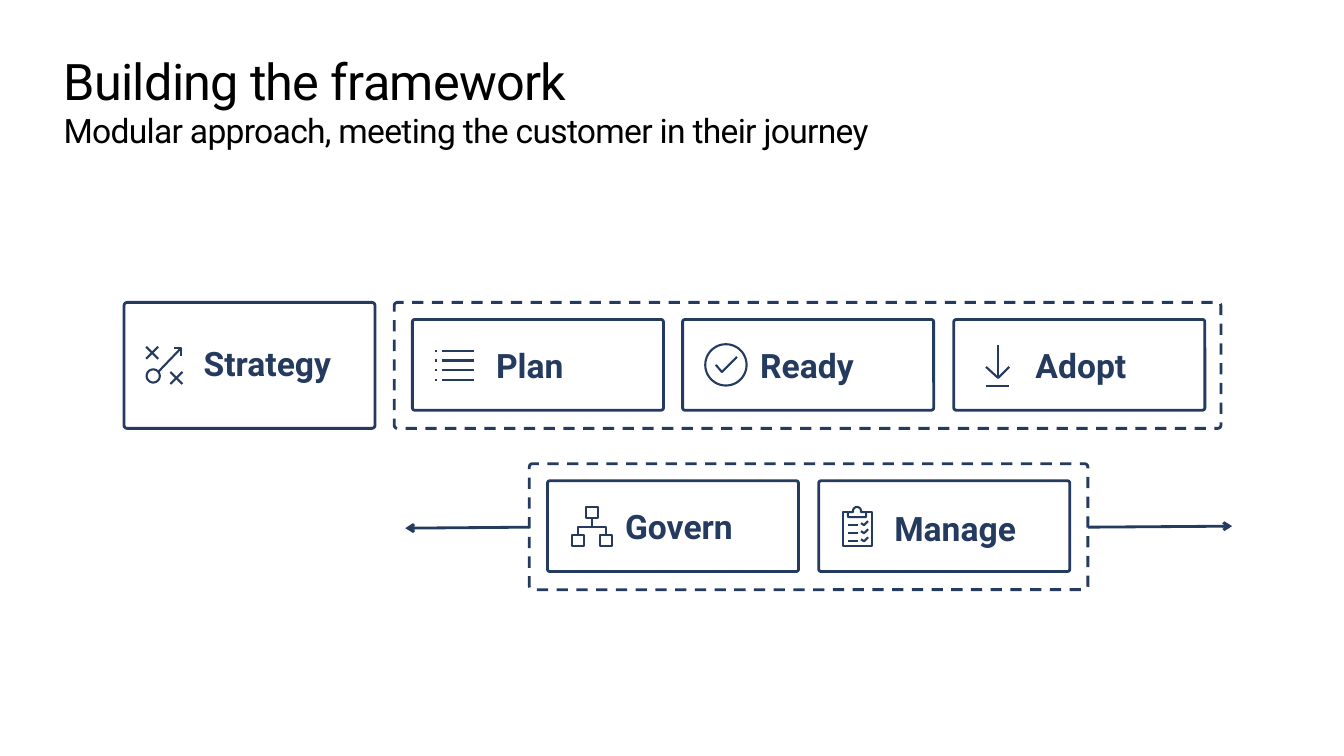
from math import cos, pi, sin

from lxml.etree import SubElement
from pptx import Presentation
from pptx.dml.color import RGBColor
from pptx.enum.dml import MSO_LINE_DASH_STYLE as Dash
from pptx.enum.shapes import MSO_CONNECTOR as Connector
from pptx.enum.shapes import MSO_SHAPE as Preset
from pptx.enum.text import MSO_ANCHOR as Anchor
from pptx.enum.text import MSO_AUTO_SIZE as AutoSize
from pptx.enum.text import PP_ALIGN as Align
from pptx.oxml.ns import qn
from pptx.util import Inches, Pt

COLORS = {"navy": "243A5E", "black": "000000", "white": "FFFFFF"}
FONT = "Roboto"
CARD_WIDTH, CARD_HEIGHT, STAGE_HEIGHT = 2.49, 0.9, 1.25


def color(name):
    return RGBColor.from_string(COLORS[name])


def style_line(line, width):
    line.color.rgb = color("navy")
    line.width = Pt(width)


def write(frame, text, size, ink, margins, bold=False, spacing=None):
    frame.word_wrap = True
    frame.auto_size = AutoSize.NONE
    frame.vertical_anchor = Anchor.TOP
    frame.margin_left, frame.margin_top, frame.margin_right, frame.margin_bottom = map(Inches, margins)
    paragraph = frame.paragraphs[0]
    paragraph.alignment = Align.LEFT
    run = paragraph.add_run()
    run.text = text
    run.font.name = FONT
    run.font.size = Pt(size)
    run.font.bold = bold
    run.font.color.rgb = color(ink)
    if spacing is not None:
        run.font._element.set("spc", str(int(spacing * 100)))


def add_heading(slide):
    title = slide.shapes.title
    title.left, title.top = Inches(0.63), Inches(0.5)
    title.width, title.height = Inches(12.05), Inches(0.61)
    title.text_frame.paragraphs[0].line_spacing = 1.0
    write(title.text_frame, "Building the framework", 36, "black", (0, 0, 0, 0), spacing=-0.5)
    subtitle = slide.shapes.add_textbox(Inches(0.63), Inches(1.04), Inches(9.42), Inches(0.5))
    write(subtitle.text_frame, "Modular approach, meeting the customer in their journey",
          24, "black", (0, 0.05, 0.1, 0.05), spacing=-0.5)


def add_frame(slide, left, top, width, height, dashed=False):
    frame = slide.shapes.add_shape(
        Preset.ROUNDED_RECTANGLE, Inches(left), Inches(top), Inches(width), Inches(height))
    frame.adjustments[0] = 0.025
    frame.shadow.inherit = False
    style_line(frame.line, 2)
    if dashed:
        frame.fill.background()
        frame.line.dash_style = Dash.DASH
    else:
        frame.fill.solid()
        frame.fill.fore_color.rgb = color("white")


def add_card(slide, name, left, top, height, label_left, label_top, strokes):
    add_frame(slide, left, top, CARD_WIDTH, height)
    label = slide.shapes.add_textbox(
        Inches(label_left), Inches(label_top), Inches(2.54), Inches(0.4))
    write(label.text_frame, name, 24, "navy", (0.8, 0, 0, 0), bold=True)
    add_icon(slide, strokes)


def add_icon(slide, strokes):
    paths = [[(Inches(x), Inches(y)) for x, y in stroke] for stroke in strokes]
    builder = slide.shapes.build_freeform(*paths[0][0])
    for index, path in enumerate(paths):
        if index:
            builder.move_to(*path[0])
        builder.add_line_segments(path[1:], close=False)
    icon = builder.convert_to_shape()
    icon.shadow.inherit = False
    icon.fill.background()
    style_line(icon.line, 1.5)


def add_arrow(slide, start, end):
    arrow = slide.shapes.add_connector(Connector.STRAIGHT, *map(Inches, start + end))
    style_line(arrow.line, 2)
    SubElement(arrow.line._get_or_add_ln(), qn("a:tailEnd"), type="arrow")
    SubElement(arrow._element.spPr, qn("a:effectLst"))


def arc(x, y, radius, start=0, end=2 * pi, steps=48):
    angles = [start + (end - start) * i / steps for i in range(steps + 1)]
    return [(x + radius * cos(a), y + radius * sin(a)) for a in angles]


def box(left, top, right, bottom):
    return [(left, top), (right, top), (right, bottom), (left, bottom), (left, top)]


def cross(left, top, size=0.12):
    right, bottom = left + size, top + size
    return [[(left, top), (right, bottom)], [(right, top), (left, bottom)]]


def strategy_icon():
    return [
        *cross(1.45, 3.44), *cross(1.69, 3.69), arc(1.52, 3.73, 0.065),
        [(1.57, 3.69), (1.8, 3.45)], [(1.8, 3.53), (1.8, 3.45), (1.73, 3.45)],
    ]


def plan_icon():
    rows = [3.48 + 0.29 * i / 3 for i in range(4)]
    return [[(x1, y), (x2, y)] for y in rows for x1, x2 in ((4.38, 4.7), (4.31, 4.33))]


def ready_icon():
    return [arc(7.2, 3.62, 0.205), [(7.1, 3.62), (7.16, 3.69), (7.31, 3.54)]]


def adopt_icon():
    return [
        [(10.01, 3.64), (9.9, 3.75), (9.78, 3.64)],
        [(9.9, 3.75), (9.9, 3.42)],
        [(9.78, 3.83), (10.01, 3.83)],
    ]


def govern_icon():
    return [
        box(5.67, 5.31, 5.79, 5.42), box(5.95, 5.31, 6.07, 5.42), box(5.81, 5.03, 5.93, 5.14),
        [(5.87, 5.14), (5.87, 5.23)],
        [(6.01, 5.31), (6.01, 5.23), (5.73, 5.23), (5.73, 5.31)],
    ]


def manage_icon():
    clip = [(8.46, 5.08), *arc(8.5, 5.07, 0.04, pi, 2 * pi, 16), (8.54, 5.08),
            (8.59, 5.08), (8.59, 5.13), (8.41, 5.13), (8.41, 5.08), (8.46, 5.08)]
    sheet = [(8.41, 5.08), (8.36, 5.08), (8.36, 5.42), (8.65, 5.42), (8.65, 5.08), (8.59, 5.08)]
    rows = [5.21 + 0.08 * i for i in range(3)]
    items = [[(8.41, y), (8.51, y)] for y in rows]
    ticks = [[(8.54, y - 0.02), (8.57, y), (8.61, y - 0.04)] for y in rows]
    return [clip, sheet, *items, *ticks]


def main():
    deck = Presentation()
    deck.slide_width, deck.slide_height = Inches(13.33), Inches(7.5)
    slide = deck.slides.add_slide(deck.slide_layouts[5])
    add_heading(slide)

    add_frame(slide, 3.91, 3, 8.2, STAGE_HEIGHT, dashed=True)
    add_frame(slide, 5.25, 4.6, 5.54, STAGE_HEIGHT, dashed=True)

    cards = [
        ("Strategy", 1.23, 3, STAGE_HEIGHT, 1.22, 3.4, strategy_icon()),
        ("Plan", 4.09, 3.17, CARD_HEIGHT, 4.12, 3.42, plan_icon()),
        ("Ready", 6.77, 3.17, CARD_HEIGHT, 6.74, 3.42, ready_icon()),
        ("Adopt", 9.46, 3.17, CARD_HEIGHT, 9.47, 3.42, adopt_icon()),
        ("Govern", 5.43, 4.77, CARD_HEIGHT, 5.4, 5.02, govern_icon()),
        ("Manage", 8.12, 4.77, CARD_HEIGHT, 8.07, 5.04, manage_icon()),
    ]
    for card in cards:
        add_card(slide, *card)

    add_arrow(slide, (10.79, 5.23), (12.22, 5.22))
    add_arrow(slide, (5.25, 5.23), (4.02, 5.24))
    deck.save("out.pptx")


if __name__ == "__main__":
    main()
